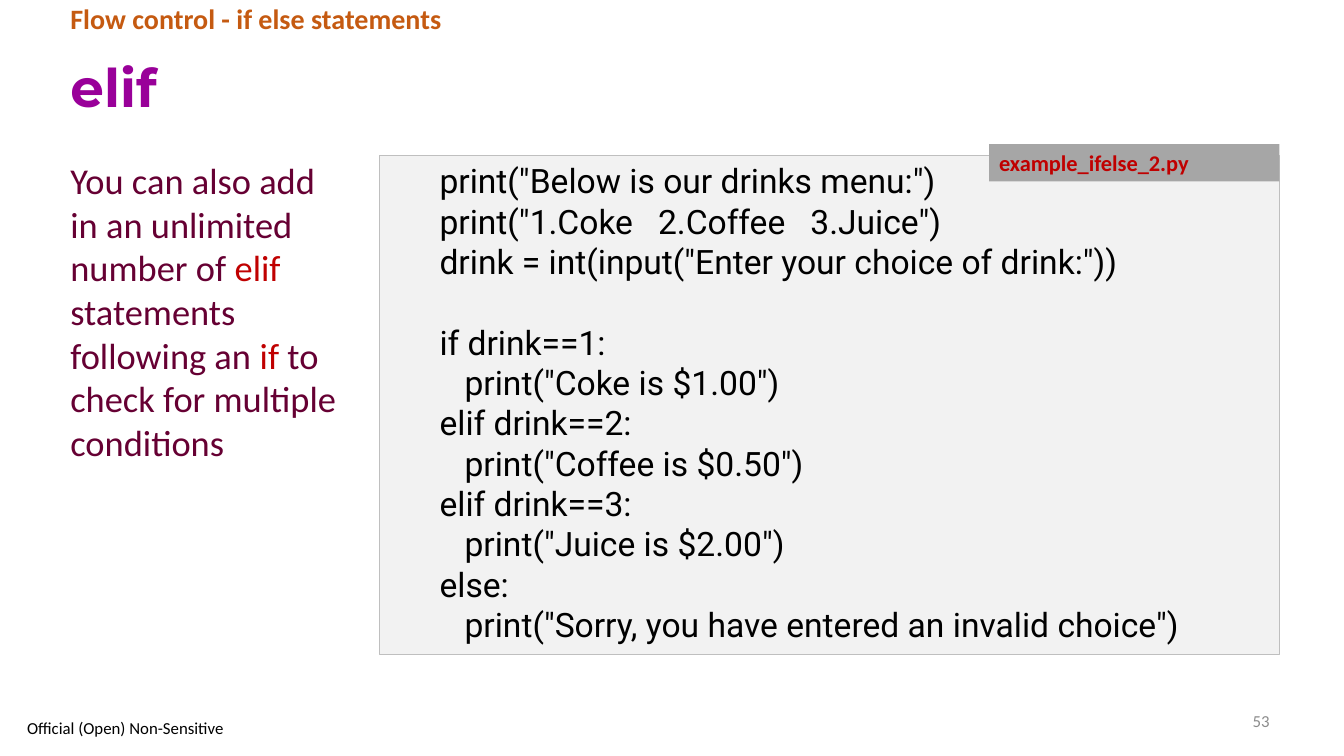
from pptx import Presentation
from pptx.util import Inches, Pt
from pptx.dml.color import RGBColor as Rgb
from pptx.enum.shapes import MSO_SHAPE as Kind
from pptx.enum.text import MSO_ANCHOR as Anchor, PP_ALIGN as Align

PLUM, RED, BLACK = "660033", "C00000", "000000"
TITLE = [("elif", "990099")]
TOPIC = [("Flow control - if else statements", "C55A11")]
NOTE = [
    ("You can also add in an unlimited number of ", PLUM),
    ("elif ", RED),
    ("statements following an ", PLUM),
    ("if ", RED),
    ("to check for multiple conditions", PLUM),
]
FILE = [("example_ifelse_2.py", RED)]
LABEL = [("Official (Open) Non-Sensitive", BLACK)]
PAGE = [("53", "8C8C8C")]
INTRO = [
    'print("Below is our drinks menu:")',
    'print("1.Coke   2.Coffee   3.Juice")',
    'drink = int(input("Enter your choice of drink:"))',
]
BRANCH = [
    'if drink==1:',
    '   print("Coke is $1.00")',
    'elif drink==2:',
    '   print("Coffee is $0.50")',
    'elif drink==3:',
    '   print("Juice is $2.00")',
    'else:',
    '   print("Sorry, you have entered an invalid choice")',
]
LEFT, RIGHT = 0.6, 12.69
CODE_X = 3.76

deck = Presentation()
deck.slide_width, deck.slide_height = Inches(13.33), Inches(7.5)
slide = deck.slides.add_slide(deck.slide_layouts[6])


def color(code):
    return Rgb.from_string(code)


def write(para, runs, size, face="Calibri", bold=False):
    for words, tint in runs:
        run = para.add_run()
        run.text = words
        run.font.size, run.font.name, run.font.bold = Pt(size), face, bold
        run.font.color.rgb = color(tint)


def text(place, runs, size, face="Calibri", bold=False,
         anchor=Anchor.TOP, align=Align.LEFT, pitch=1.0):
    frame = slide.shapes.add_textbox(*map(Inches, place)).text_frame
    frame.word_wrap, frame.vertical_anchor = True, anchor
    para = frame.paragraphs[0]
    para.alignment, para.line_spacing = align, pitch
    write(para, runs, size, face, bold)


def panel(place, fill, edge=None):
    box = slide.shapes.add_shape(Kind.RECTANGLE, *map(Inches, place))
    box.shadow.inherit = False
    box.fill.solid()
    box.fill.fore_color.rgb = color(fill)
    if edge:
        box.line.color.rgb = color(edge)
        box.line.width = Pt(0.75)
    else:
        box.line.fill.background()
    frame = box.text_frame
    frame.word_wrap, frame.vertical_anchor = True, Anchor.TOP
    frame.paragraphs[0].alignment = Align.LEFT
    return frame


text((LEFT, 0.41, RIGHT - LEFT, 0.97), TITLE, 38, "Montserrat", True,
     Anchor.MIDDLE, pitch=0.9)
text((9.42, 6.95, RIGHT - 9.42, 0.4), PAGE, 12,
     anchor=Anchor.MIDDLE, align=Align.RIGHT)
text((LEFT, 0, 10.34, 0.41), TOPIC, 20, bold=True, pitch=0.9)
text((LEFT, 1.52, 2.93, 3.16), NOTE, 26)

code = panel((CODE_X, 1.54, RIGHT - CODE_X, 4.95), "F2F2F2", "BFBFBF")
code.margin_left = Inches(0.6)
for spot, line in enumerate(INTRO + BRANCH):
    para = code.add_paragraph() if spot else code.paragraphs[0]
    para.alignment = Align.LEFT
    if spot == len(INTRO):
        para.space_before = Pt(28.8)
    write(para, [(line, BLACK)], 24, "Roboto")

tag = panel((9.81, 1.43, RIGHT - 9.81, 0.37), "A6A6A6")
write(tag.paragraphs[0], FILE, 16, bold=True)
text((0.17, 7.09, 2.24, 0.26), LABEL, 12, anchor=Anchor.MIDDLE)

deck.save("out.pptx")
